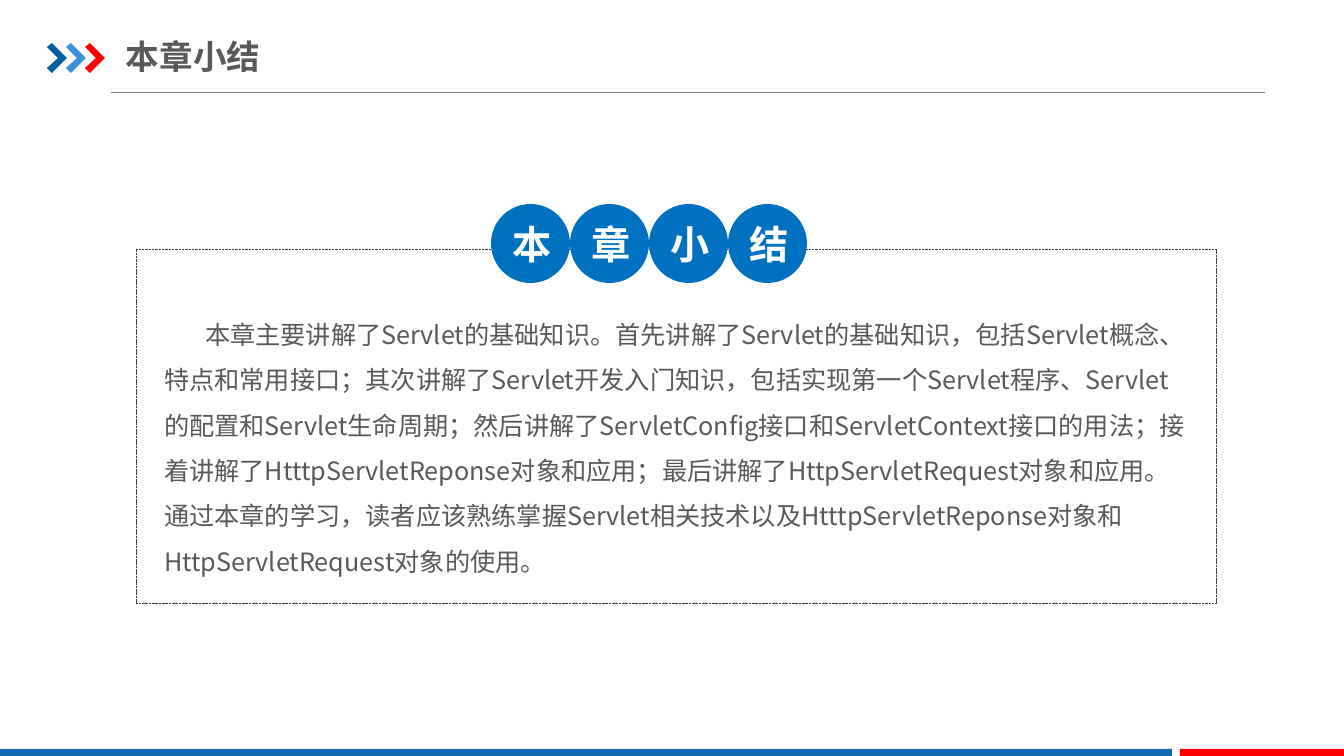
import dataclasses

import pptx
import pptx.dml.color
import pptx.enum.dml
import pptx.enum.shapes
import pptx.enum.text
import pptx.oxml.ns
import pptx.util
from lxml import etree

MSO_SHAPE = pptx.enum.shapes.MSO_SHAPE
ANCHOR = pptx.enum.text.MSO_ANCHOR
EMU_PER_PX = 914400 / 100.8


@dataclasses.dataclass(frozen=True)
class Theme:
    font: str = "Noto Sans CJK SC"
    navy: str = "005DA2"
    sky: str = "3992DB"
    red: str = "FF0000"
    bar: str = "1369B2"
    circle: str = "0070C0"
    text: str = "595959"
    white: str = "FFFFFF"
    rule: str = "808080"
    frame: str = "404040"
    title_size: int = 24
    circle_size: int = 28
    body_size: int = 18


THEME = Theme()
TITLE = "本章小结"
SUMMARY = (
    "本章主要讲解了Servlet的基础知识。首先讲解了Servlet的基础知识，包括Servlet概念、特点和常用接口；"
    "其次讲解了Servlet开发入门知识，包括实现第一个Servlet程序、Servlet的配置和Servlet生命周期；"
    "然后讲解了ServletConfig接口和ServletContext接口的用法；"
    "接着讲解了HtttpServletReponse对象和应用；最后讲解了HttpServletRequest对象和应用。"
    "通过本章的学习，读者应该熟练掌握Servlet相关技术以及"
    "HtttpServletReponse对象和HttpServletRequest对象的使用。"
)


def px(n):
    return pptx.util.Emu(round(n * EMU_PER_PX))


def rgb(color):
    return pptx.dml.color.RGBColor.from_string(color)


def paint(sp, color):
    """Give a shape a flat fill with no outline or shadow."""
    sp.shadow.inherit = False
    sp.fill.solid()
    sp.fill.fore_color.rgb = rgb(color)
    sp.line.fill.background()


def add_preset(s, kind, box, color):
    sp = s.shapes.add_shape(kind, *map(px, box))
    paint(sp, color)
    return sp


def add_run(p, text, size, color, bold=False):
    """Add a run, setting its font for Latin and East Asian text alike."""
    r = p.add_run()
    r.text = text
    r.font.name = THEME.font
    r.font.size = pptx.util.Pt(size)
    r.font.bold = bold
    r.font.color.rgb = rgb(color)
    ea = etree.SubElement(r.font._element, pptx.oxml.ns.qn("a:ea"))
    ea.set("typeface", THEME.font)


def add_text_box(s, box, anchor, side_inset):
    """Add a wrapping text box and return its first paragraph."""
    tf = s.shapes.add_textbox(*map(px, box)).text_frame
    tf.word_wrap = True
    tf.vertical_anchor = anchor
    tf.margin_left = tf.margin_right = px(side_inset)
    tf.margin_top = tf.margin_bottom = px(7)
    return tf.paragraphs[0]


def add_rule(s, left, right, y):
    line = s.shapes.add_connector(
        pptx.enum.shapes.MSO_CONNECTOR.STRAIGHT, px(left), px(y), px(right), px(y))
    line.line.color.rgb = rgb(THEME.rule)
    line.line.width = pptx.util.Pt(0.5)
    etree.SubElement(line._element.spPr, pptx.oxml.ns.qn("a:effectLst"))


def add_chevron(s, left, top, color):
    outline = [(0, 4), (5, 0), (20, 15), (5, 30), (0, 25), (11, 15)]
    points = [(left + x, top + y) for x, y in outline]
    builder = s.shapes.build_freeform(*points[0], scale=EMU_PER_PX)
    builder.add_line_segments(points[1:], close=True)
    paint(builder.convert_to_shape(), color)


def add_frame(s, box):
    sp = s.shapes.add_shape(MSO_SHAPE.ROUNDED_RECTANGLE, *map(px, box))
    sp.adjustments[0] = 0
    sp.shadow.inherit = False
    sp.fill.background()
    sp.line.color.rgb = rgb(THEME.frame)
    sp.line.width = pptx.util.Pt(0.25)
    sp.line.dash_style = pptx.enum.dml.MSO_LINE.SQUARE_DOT


def add_letter_circle(s, left, top, size, letter):
    sp = add_preset(s, MSO_SHAPE.OVAL, (left, top, size, size), THEME.circle)
    tf = sp.text_frame
    tf.vertical_anchor = ANCHOR.MIDDLE
    p = tf.paragraphs[0]
    p.alignment = pptx.enum.text.PP_ALIGN.CENTER
    add_run(p, letter, THEME.circle_size, THEME.white, bold=True)


def add_summary(s, box):
    p = add_text_box(s, box, ANCHOR.TOP, 13)
    p.line_spacing = 1.5
    p._p.get_or_add_pPr().set("indent", str(px(41)))
    add_run(p, SUMMARY, THEME.body_size, THEME.text)


def main():
    prs = pptx.Presentation()
    prs.slide_width, prs.slide_height = px(1344), px(756)
    s = prs.slides.add_slide(prs.slide_layouts[6])

    add_rule(s, 111, 1265, 92)
    for i, color in enumerate((THEME.navy, THEME.sky, THEME.red)):
        add_chevron(s, 47 + 19 * i, 43, color)
    add_preset(s, MSO_SHAPE.RECTANGLE, (0, 749, 1172, 7), THEME.bar)
    add_preset(s, MSO_SHAPE.RECTANGLE, (1180, 749, 164, 7), THEME.red)

    p = add_text_box(s, (126, 29, 429, 55), ANCHOR.MIDDLE, 0)
    add_run(p, TITLE, THEME.title_size, THEME.text, bold=True)

    add_frame(s, (136, 249, 1080, 354))
    diameter = 79
    for i, letter in enumerate(TITLE):
        add_letter_circle(s, 491 + diameter * i, 204, diameter, letter)
    add_summary(s, (151, 297, 1047, 288))
    prs.save("out.pptx")


if __name__ == "__main__":
    main()
